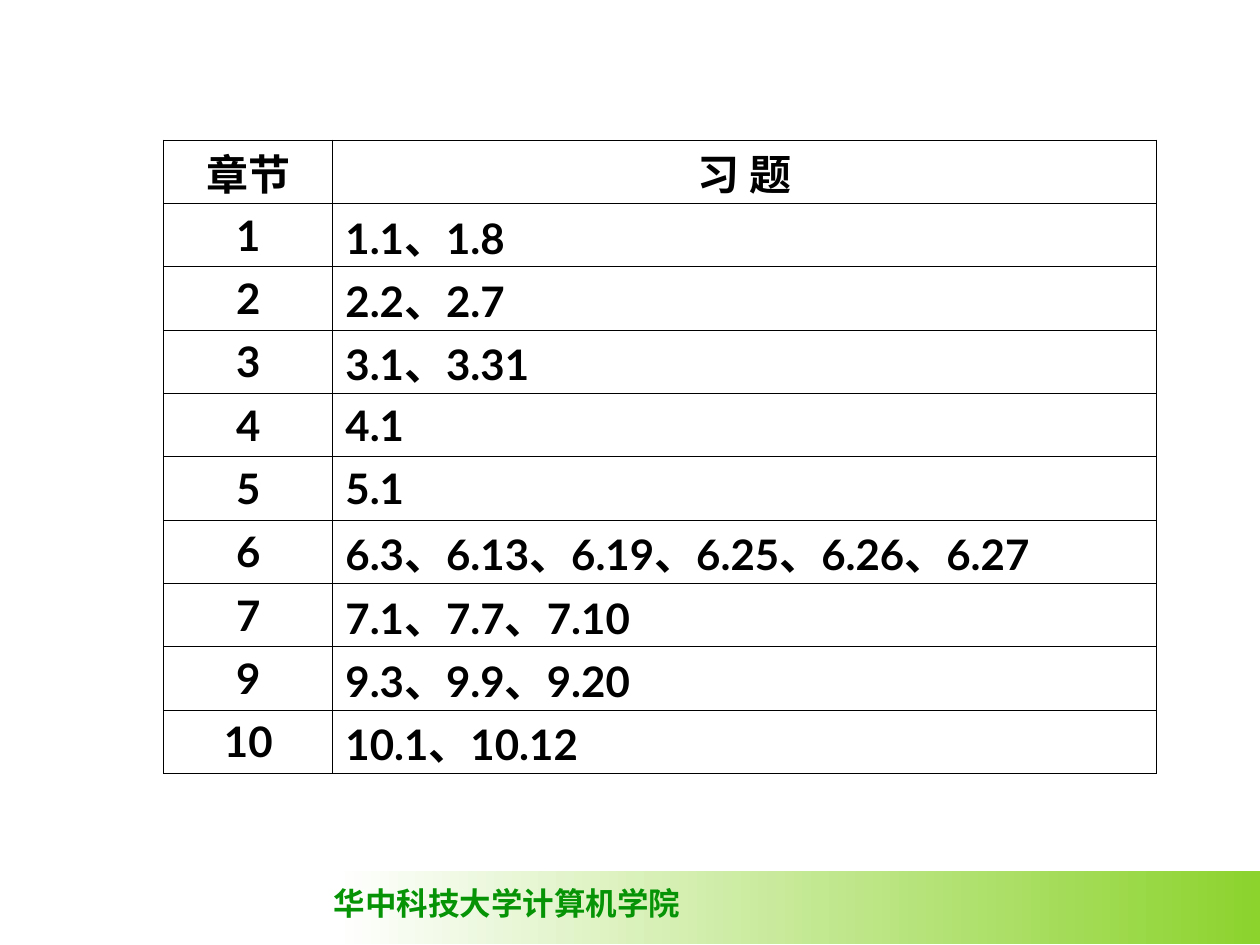
from dataclasses import dataclass

from lxml import etree
from pptx import Presentation
from pptx.dml.color import RGBColor
from pptx.enum.shapes import MSO_SHAPE
from pptx.enum.text import PP_ALIGN
from pptx.oxml.ns import qn
from pptx.util import Pt

RECTANGLE = MSO_SHAPE.RECTANGLE
CENTER, LEFT = PP_ALIGN.CENTER, PP_ALIGN.LEFT
BORDER_SIDES = ("a:lnL", "a:lnR", "a:lnT", "a:lnB")


@dataclass(frozen=True)
class Theme:
    """Colours, fonts and sizes of the slide."""

    ink: str = "000000"
    band_green: str = "8CD32D"
    band_white: str = "FFFFFF"
    school_green: str = "069406"
    table_font: str = "Lato"
    chinese_font: str = "Noto Sans CJK SC"
    school_font: str = "Times New Roman"
    table_size: float = 24
    school_size: float = 18
    border_width: float = 0.45


THEME = Theme()
HEADER = ("章节", "习\u3000题".replace("\u3000", " "))
EXERCISES = (
    ("1", "1.1、1.8"),
    ("2", "2.2、2.7"),
    ("3", "3.1、3.31"),
    ("4", "4.1"),
    ("5", "5.1"),
    ("6", "6.3、6.13、6.19、6.25、6.26、6.27"),
    ("7", "7.1、7.7、7.10"),
    ("9", "9.3、9.9、9.20"),
    ("10", "10.1、10.12"),
)
COLUMN_WIDTHS = (96.6, 470.8)
ROW_HEIGHT = 36.2


def style_text(paragraph, font_name, size, color):
    """Make the runs of a paragraph bold in the given font, size and colour."""
    for run in paragraph.runs:
        run.font.name = font_name
        run.font.size = Pt(size)
        run.font.bold = True
        run.font.color.rgb = RGBColor.from_string(color)
        properties = run.font._element
        etree.SubElement(properties, qn("a:ea"), typeface=THEME.chinese_font)


def add_borders(cell):
    """Draw a thin line on every side of a cell."""
    properties = cell._tc.get_or_add_tcPr()
    for side in BORDER_SIDES:
        border = etree.SubElement(properties, qn(side), w=str(Pt(THEME.border_width)))
        ink = etree.SubElement(border, qn("a:solidFill"))
        etree.SubElement(ink, qn("a:srgbClr"), val=THEME.ink)


def fill_cell(cell, wording, alignment):
    """Write one table cell, holding Chinese lines to the row height."""
    cell.text_frame.text = wording
    paragraph = cell.text_frame.paragraphs[0]
    paragraph.alignment = alignment
    style_text(paragraph, THEME.table_font, THEME.table_size, THEME.ink)
    if not wording.isascii():
        paragraph.line_spacing = Pt(28.8)
        cell.margin_top, cell.margin_bottom = Pt(7.2), Pt(0)
    add_borders(cell)
    cell.fill.background()


def add_exercise_table(slide):
    """Add the table of exercises by chapter."""
    rows = (HEADER,) + EXERCISES
    table = slide.shapes.add_table(
        len(rows), len(COLUMN_WIDTHS), Pt(93.6), Pt(80),
        Pt(sum(COLUMN_WIDTHS)), Pt(ROW_HEIGHT * len(rows)),
    ).table
    table.first_row = table.horz_banding = False
    for column, width in zip(table.columns, COLUMN_WIDTHS):
        column.width = Pt(width)
    for row_index, (row, wordings) in enumerate(zip(table.rows, rows)):
        row.height = Pt(ROW_HEIGHT)
        for column_index, wording in enumerate(wordings):
            centered = row_index == 0 or column_index == 0
            fill_cell(row.cells[column_index], wording, CENTER if centered else LEFT)


def add_footer_band(slide):
    """Add the band that fades from green at the right to white."""
    band = slide.shapes.add_shape(RECTANGLE, Pt(192), Pt(497.5), Pt(528), Pt(42))
    band.shadow.inherit = False
    band.line.fill.background()
    band.fill.gradient()
    band.fill.gradient_angle = 180
    for stop, color in zip(band.fill.gradient_stops, (THEME.band_green, THEME.band_white)):
        stop.color.rgb = RGBColor.from_string(color)


def add_school_name(slide):
    """Add the name of the school on the footer band."""
    school = slide.shapes.add_textbox(Pt(183.6), Pt(501.8), Pt(212.4), Pt(28.8))
    school.text_frame.word_wrap = False
    school.text_frame.text = "华中科技大学计算机学院"
    style_text(school.text_frame.paragraphs[0], THEME.school_font,
               THEME.school_size, THEME.school_green)


def main():
    """Build the slide and save it."""
    presentation = Presentation()
    presentation.slide_width, presentation.slide_height = Pt(720), Pt(540)
    slide = presentation.slides.add_slide(presentation.slide_layouts[6])
    add_footer_band(slide)
    add_school_name(slide)
    add_exercise_table(slide)
    presentation.save("out.pptx")


if __name__ == "__main__":
    main()
